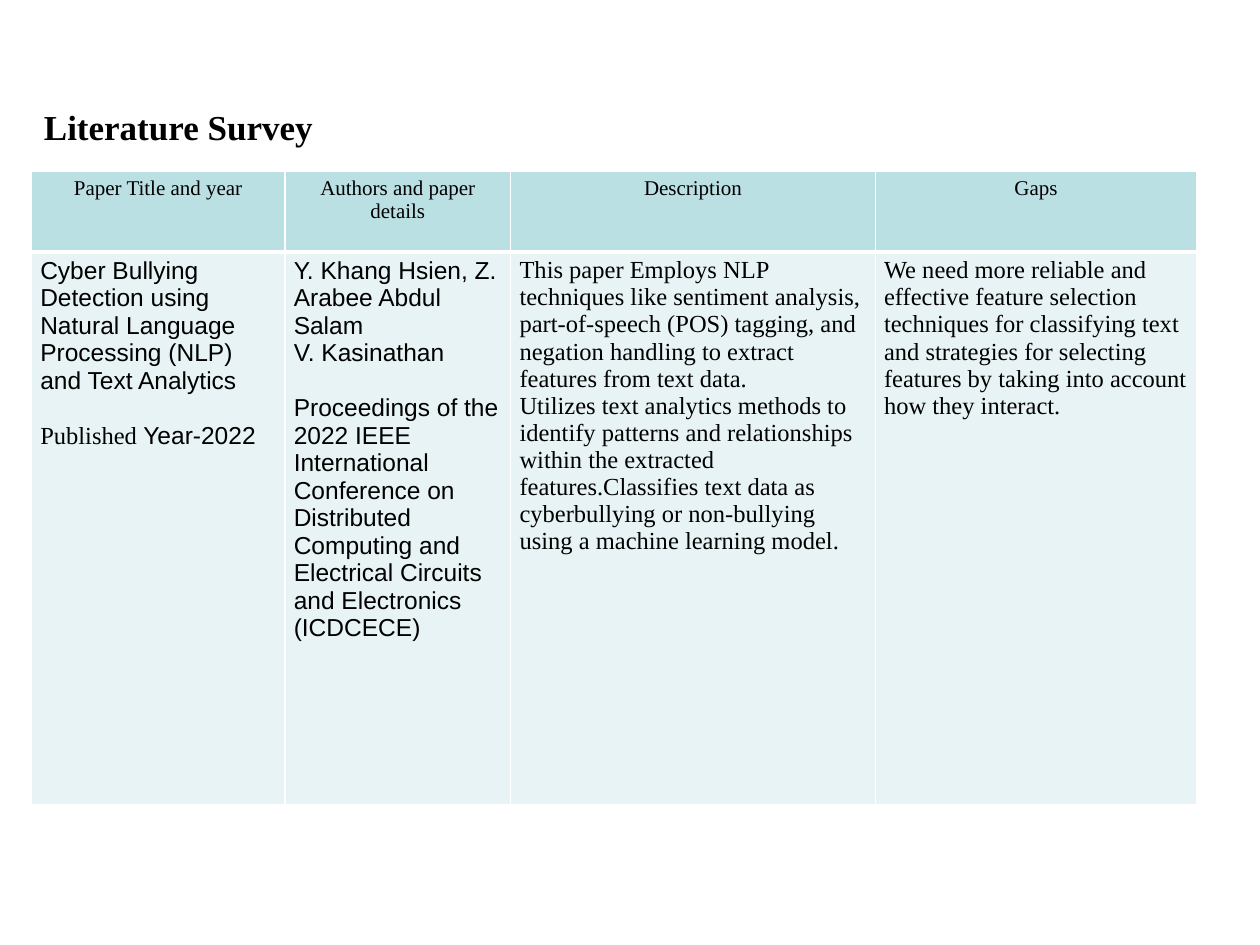
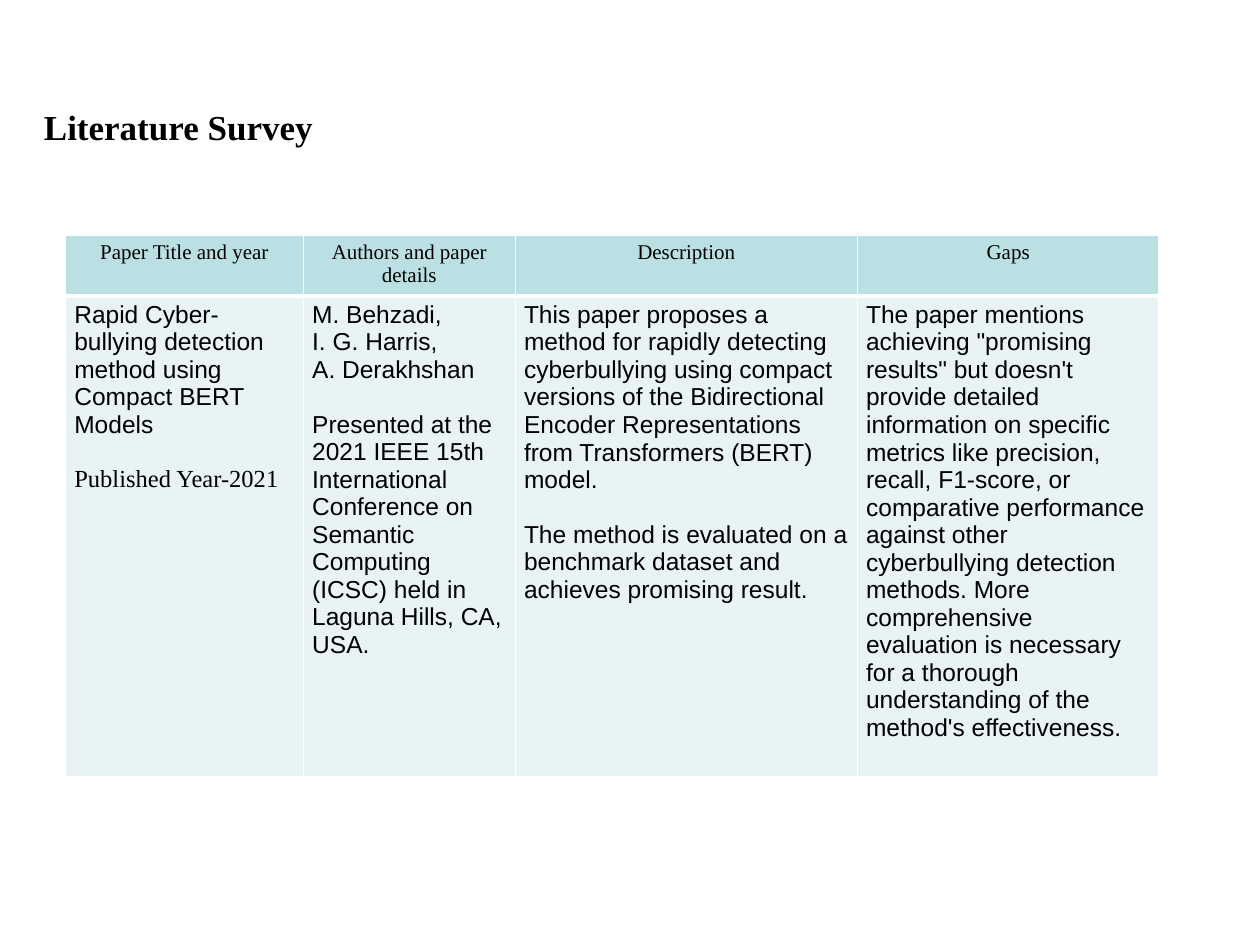
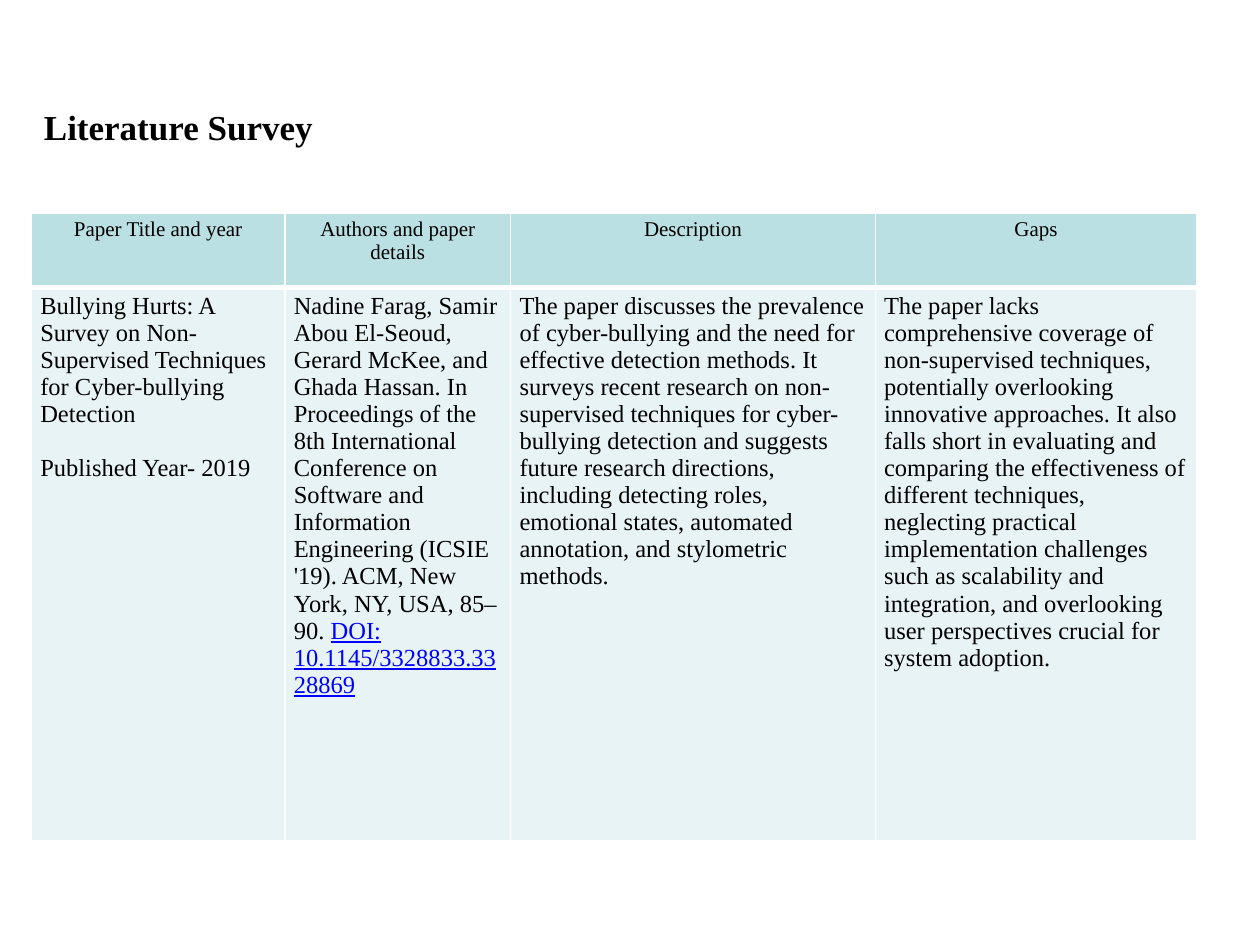
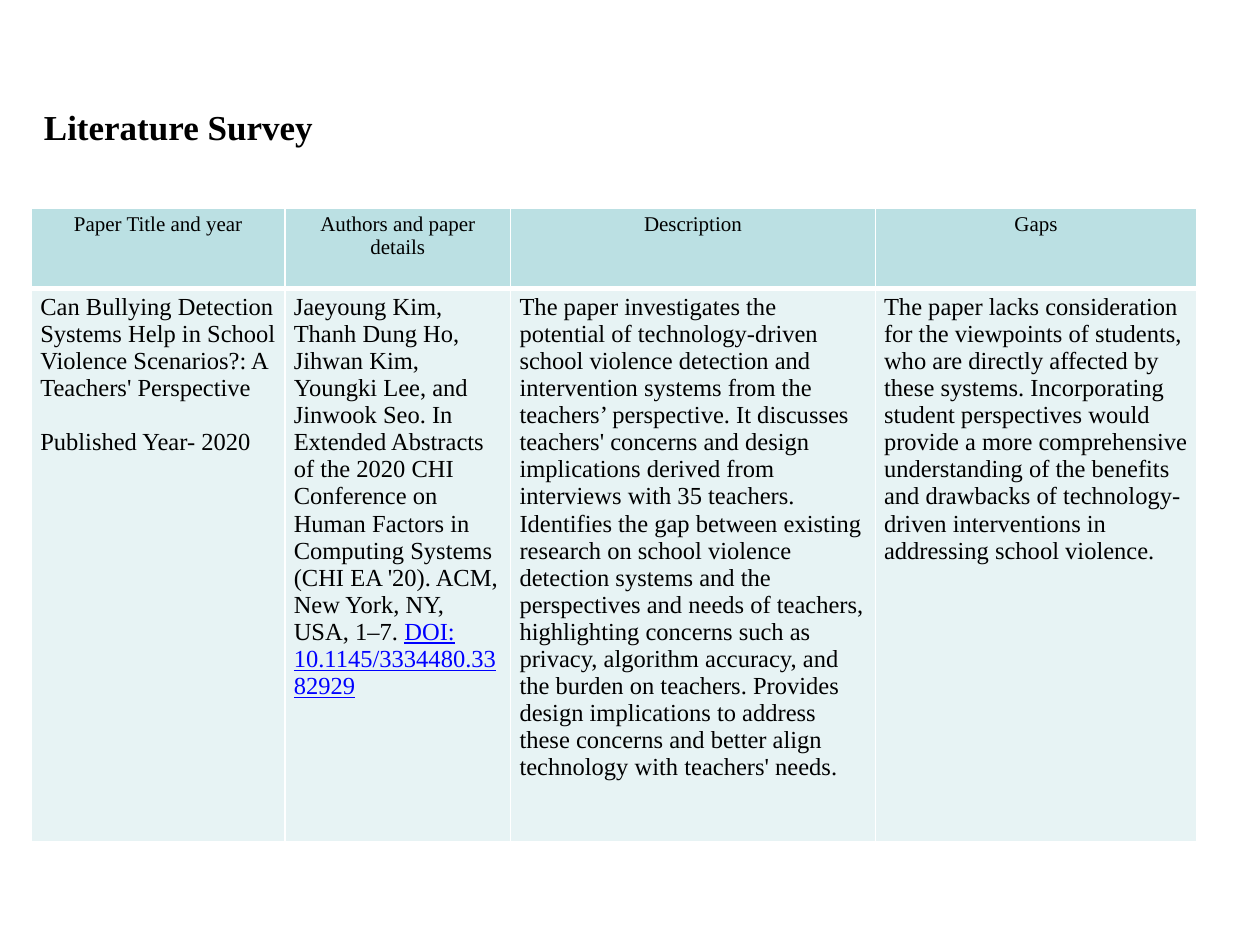
import dataclasses

import lxml.etree
import pptx
import pptx.dml.color
import pptx.enum.text
import pptx.oxml.ns
import pptx.util


@dataclasses.dataclass(frozen=True)
class Theme:
    ink: str = "000000"
    link: str = "0000FF"
    header_fill: str = "BBE0E3"
    body_fill: str = "E7F3F4"
    border: str = "FFFFFF"
    serif: str = "Times New Roman"
    sans: str = "Arial"
    title_size: float = 20
    header_size: float = 12
    body_size: float = 14
    paragraph_gap: float = 15.5
    thin_border: float = 1
    thick_border: float = 3


THEME = Theme()


@dataclasses.dataclass(frozen=True)
class Run:
    text: str
    font: str = THEME.serif
    color: str = THEME.ink
    underline: bool = False


@dataclasses.dataclass(frozen=True)
class Paragraph:
    runs: tuple
    gap: bool = False


def serif(text, gap=False):
    return Paragraph((Run(text),), gap)


def sans(text, gap=False):
    return Paragraph((Run(text, THEME.sans),), gap)


def citation(text, identifier):
    return Paragraph((Run(text), Run(identifier, color=THEME.link, underline=True)))


@dataclasses.dataclass(frozen=True)
class Survey:
    """One reviewed paper: table frame in grid units and its four cells."""
    left: float
    top: float
    width: float
    row_heights: tuple
    cells: tuple


class Deck:
    """Holds the theme and current slide; lengths are in grid columns and rows."""
    COLUMNS, ROWS = 100, 75

    def __init__(self, theme):
        self.theme = theme
        self.presentation = pptx.Presentation()
        self.presentation.slide_width = pptx.util.Inches(10)
        self.presentation.slide_height = pptx.util.Inches(7.5)
        self.slide = None

    def across(self, columns):
        return round(self.presentation.slide_width * columns / self.COLUMNS)

    def down(self, rows):
        return round(self.presentation.slide_height * rows / self.ROWS)

    def add_slide(self):
        self.slide = self.presentation.slides.add_slide(self.presentation.slide_layouts[6])

    def write_run(self, paragraph, content, size, bold=False):
        run = paragraph.add_run()
        run.text = content.text
        run.font.name = content.font
        run.font.size = pptx.util.Pt(size)
        run.font.bold = bold
        run.font.underline = content.underline
        run.font.color.rgb = pptx.dml.color.RGBColor.from_string(content.color)

    def add_title(self, text):
        box = self.slide.shapes.add_textbox(
            self.across(2.5), self.down(7.9), self.across(48.1), self.down(4.4))
        box.text_frame.word_wrap = True
        box.text_frame.auto_size = pptx.enum.text.MSO_AUTO_SIZE.SHAPE_TO_FIT_TEXT
        self.write_run(box.text_frame.paragraphs[0], Run(text), self.theme.title_size, bold=True)

    def style_cell(self, cell, fill, bottom_border):
        cell.margin_left = cell.margin_right = self.across(0.7)
        cell.margin_top = cell.margin_bottom = self.down(0.4)
        properties = cell._tc.get_or_add_tcPr()
        # Borders come before the fill in the cell properties
        for side in "LRTB":
            width = bottom_border if side == "B" else self.theme.thin_border
            line = lxml.etree.SubElement(
                properties, pptx.oxml.ns.qn("a:ln" + side), w=str(pptx.util.Pt(width)))
            solid = lxml.etree.SubElement(line, pptx.oxml.ns.qn("a:solidFill"))
            lxml.etree.SubElement(solid, pptx.oxml.ns.qn("a:srgbClr"), val=self.theme.border)
        cell.fill.solid()
        cell.fill.fore_color.rgb = pptx.dml.color.RGBColor.from_string(fill)

    def fill_cell(self, cell, paragraphs, size, alignment):
        for index, content in enumerate(paragraphs):
            frame = cell.text_frame
            paragraph = frame.add_paragraph() if index else frame.paragraphs[0]
            paragraph.alignment = alignment
            if content.gap:
                paragraph.space_before = pptx.util.Pt(self.theme.paragraph_gap)
            for run in content.runs:
                self.write_run(paragraph, run, size)

    def add_survey_table(self, survey, headings, column_weights):
        frame = self.slide.shapes.add_table(
            2, len(headings), self.across(survey.left), self.down(survey.top),
            self.across(survey.width), self.down(sum(survey.row_heights)))
        table = frame.table
        table.first_row = table.horz_banding = False
        for column, weight in zip(table.columns, column_weights):
            column.width = self.across(survey.width * weight / sum(column_weights))
        for row, height in zip(table.rows, survey.row_heights):
            row.height = self.down(height)
        theme, align = self.theme, pptx.enum.text.PP_ALIGN
        for index, (heading, paragraphs) in enumerate(zip(headings, survey.cells)):
            header, body = table.cell(0, index), table.cell(1, index)
            self.style_cell(header, theme.header_fill, theme.thick_border)
            self.style_cell(body, theme.body_fill, theme.thin_border)
            self.fill_cell(header, (serif(heading),), theme.header_size, align.CENTER)
            self.fill_cell(body, paragraphs, theme.body_size, align.LEFT)


TITLE = "Literature Survey"
HEADINGS = ("Paper Title and year", "Authors and paper details", "Description", "Gaps")
COLUMN_WEIGHTS = (201, 179, 289, 255)

SURVEYS = (
    # Text analytics
    Survey(2.5, 13.6, 92.5, (6.4, 43.9), (
        (
            sans("Cyber Bullying Detection using Natural Language Processing (NLP) "
                 "and Text Analytics"),
            Paragraph((Run("Published "), Run("Year-2022", THEME.sans)), gap=True),
        ),
        (
            sans("Y. Khang Hsien, Z. Arabee Abdul Salam"),
            sans("V. Kasinathan"),
            sans("Proceedings of the 2022 IEEE International Conference on Distributed "
                 "Computing and Electrical Circuits and Electronics (ICDCECE)", gap=True),
        ),
        (
            serif("This paper Employs NLP techniques like sentiment analysis, part-of-speech "
                  "(POS) tagging, and negation handling to extract features from text data."),
            serif("Utilizes text analytics methods to identify patterns and relationships "
                  "within the extracted features.Classifies text data as cyberbullying or "
                  "non-bullying using a machine learning model."),
        ),
        (
            serif("We need more reliable and effective feature selection techniques for "
                  "classifying text and strategies for selecting features by taking into "
                  "account how they interact."),
        ),
    )),
    # Compact BERT models
    Survey(5.2, 18.7, 86.8, (4, 34.2), (
        (
            sans("Rapid Cyber-bullying detection method using Compact BERT Models"),
            serif("Published Year-2021", gap=True),
        ),
        (
            sans("M. Behzadi,"),
            sans("I. G. Harris,"),
            sans("A. Derakhshan"),
            sans("Presented at the 2021 IEEE 15th International Conference on Semantic "
                 "Computing (ICSC) held in Laguna Hills, CA, USA.", gap=True),
        ),
        (
            sans("This paper proposes a method for rapidly detecting cyberbullying using "
                 "compact versions of the Bidirectional Encoder Representations from "
                 "Transformers (BERT) model."),
            sans("The method is evaluated on a benchmark dataset and achieves promising "
                 "result.", gap=True),
        ),
        (
            sans("The paper mentions achieving \"promising results\" but doesn't provide "
                 "detailed information on specific metrics like precision, recall, F1-score, "
                 "or comparative performance against other cyberbullying detection methods. "
                 "More comprehensive evaluation is necessary for a thorough understanding of "
                 "the method's effectiveness."),
        ),
    )),
    # Non-supervised techniques
    Survey(2.5, 16.9, 92.5, (5.9, 43.9), (
        (
            serif("Bullying Hurts: A Survey on Non-Supervised Techniques for Cyber-bullying "
                  "Detection"),
            serif("Published Year- 2019", gap=True),
        ),
        (
            citation("Nadine Farag, Samir Abou El-Seoud, Gerard McKee, and Ghada Hassan. In "
                     "Proceedings of the 8th International Conference on Software and "
                     "Information Engineering (ICSIE '19). ACM, New York, NY, USA, 85–90. ",
                     "DOI: 10.1145/3328833.3328869"),
        ),
        (
            serif("The paper discusses the prevalence of cyber-bullying and the need for "
                  "effective detection methods. It surveys recent research on non-supervised "
                  "techniques for cyber-bullying detection and suggests future research "
                  "directions, including detecting roles, emotional states, automated "
                  "annotation, and stylometric methods."),
        ),
        (
            serif("The paper lacks comprehensive coverage of non-supervised techniques, "
                  "potentially overlooking innovative approaches. It also falls short in "
                  "evaluating and comparing the effectiveness of different techniques, "
                  "neglecting practical implementation challenges such as scalability and "
                  "integration, and overlooking user perspectives crucial for system "
                  "adoption."),
        ),
    )),
    # Teachers' perspective
    Survey(2.5, 16.5, 92.5, (6.4, 43.9), (
        (
            serif("Can Bullying Detection Systems Help in School Violence Scenarios?: "
                  "A Teachers' Perspective"),
            serif("Published Year- 2020", gap=True),
        ),
        (
            citation("Jaeyoung Kim, Thanh Dung Ho, Jihwan Kim, Youngki Lee, and Jinwook Seo. "
                     "In Extended Abstracts of the 2020 CHI Conference on Human Factors in "
                     "Computing Systems (CHI EA '20). ACM, New York, NY, USA, 1–7. ",
                     "DOI: 10.1145/3334480.3382929"),
        ),
        (
            serif("The paper investigates the potential of technology-driven school violence "
                  "detection and intervention systems from the teachers’ perspective. It "
                  "discusses teachers' concerns and design implications derived from "
                  "interviews with 35 teachers."),
            serif("Identifies the gap between existing research on school violence detection "
                  "systems and the perspectives and needs of teachers, highlighting concerns "
                  "such as privacy, algorithm accuracy, and the burden on teachers. Provides "
                  "design implications to address these concerns and better align technology "
                  "with teachers' needs."),
        ),
        (
            serif("The paper lacks consideration for the viewpoints of students, who are "
                  "directly affected by these systems. Incorporating student perspectives "
                  "would provide a more comprehensive understanding of the benefits and "
                  "drawbacks of technology-driven interventions in addressing school "
                  "violence."),
        ),
    )),
)


def main():
    deck = Deck(THEME)
    for survey in SURVEYS:
        deck.add_slide()
        deck.add_survey_table(survey, HEADINGS, COLUMN_WEIGHTS)
        deck.add_title(TITLE)
    deck.presentation.save("out.pptx")


if __name__ == "__main__":
    main()
